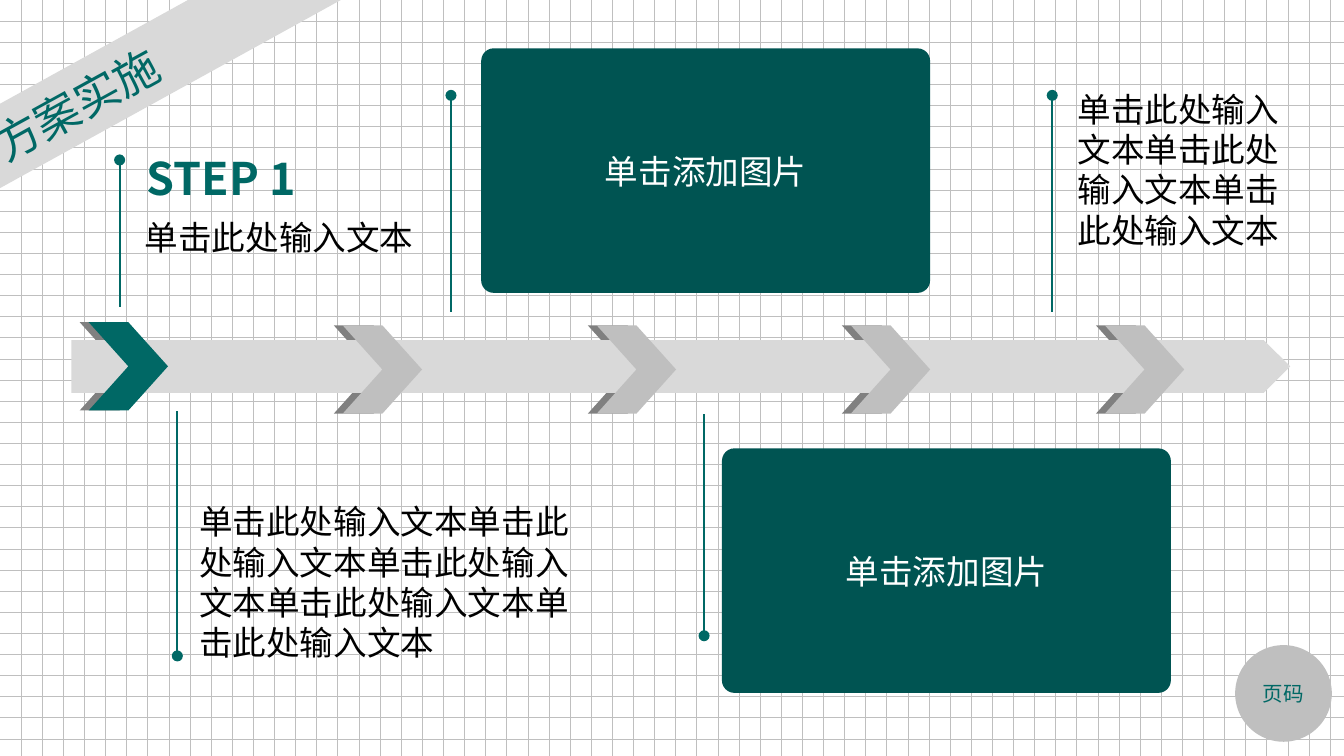
from lxml.etree import SubElement
from pptx import Presentation
from pptx.dml.color import RGBColor
from pptx.enum.dml import MSO_PATTERN
from pptx.enum.shapes import MSO_CONNECTOR, MSO_SHAPE
from pptx.enum.text import MSO_ANCHOR, MSO_AUTO_SIZE, PP_ALIGN
from pptx.oxml.ns import qn
from pptx.util import Pt

TEAL = RGBColor(0x00, 0x68, 0x65)
DEEP = RGBColor(0x00, 0x54, 0x52)
PALE = RGBColor(0xD9, 0xD9, 0xD9)
GRAY = RGBColor(0xBF, 0xBF, 0xBF)
DARK = RGBColor(0x80, 0x80, 0x80)
WHITE = RGBColor(0xFF, 0xFF, 0xFF)
BLACK = RGBColor(0x00, 0x00, 0x00)
FONT = "Noto Sans CJK SC"
PROMPT = "单击此处输入文本"


def add_shape(slide, kind, box, color):
    shape = slide.shapes.add_shape(kind, *map(Pt, box))
    shape.shadow.inherit = False
    shape.fill.solid()
    shape.fill.fore_color.rgb = color
    shape.line.fill.background()
    return shape


def set_text(shape, text, size, color, align=PP_ALIGN.LEFT, bold=False):
    frame = shape.text_frame
    frame.word_wrap = True
    para = frame.paragraphs[0]
    para.text = text
    para.alignment = align
    font = para.font
    font.name, font.size, font.bold = FONT, Pt(size), bold
    font.color.rgb = color
    props = para._p.pPr.find(qn("a:defRPr"))
    SubElement(props, qn("a:ea"), typeface=FONT)
    return frame


def add_label(slide, box, text, size=18, color=BLACK, bold=False):
    label = slide.shapes.add_textbox(*map(Pt, box))
    frame = set_text(label, text, size, color, bold=bold)
    frame.auto_size = MSO_AUTO_SIZE.SHAPE_TO_FIT_TEXT
    return frame


def add_pin(slide, x, top, end):
    pin = slide.shapes.add_connector(
        MSO_CONNECTOR.STRAIGHT, Pt(x), Pt(top), Pt(x), Pt(end))
    pin.line.color.rgb = TEAL
    pin.line.width = Pt(1)
    SubElement(pin.line._get_or_add_ln(), qn("a:headEnd"), type="oval")
    SubElement(pin._element.spPr, qn("a:effectLst"))


def add_card(slide, x, y):
    card = add_shape(slide, MSO_SHAPE.ROUNDED_RECTANGLE, (x, y, 240.5, 131), DEEP)
    card.adjustments[0] = 0.051
    frame = set_text(card, "单击添加图片", 18, WHITE, PP_ALIGN.CENTER)
    frame.vertical_anchor = MSO_ANCHOR.MIDDLE


def add_steps(slide, left, colors):
    for i, color in enumerate(colors):
        top = 174.3 if i else 172.6
        add_shape(slide, MSO_SHAPE.CHEVRON, (left + i * 136.1, top, 42.5, 47.3), color)


def add_ribbon(slide):
    ribbon = add_shape(slide, MSO_SHAPE.RECTANGLE, (-68.4, 13.7, 298.8, 39.6), PALE)
    ribbon.rotation = 331.1
    frame = set_text(ribbon, "方案实施", 24, TEAL)
    frame.margin_left = Pt(55.6)
    frame.vertical_anchor = MSO_ANCHOR.MIDDLE


def add_badge(slide):
    badge = add_shape(slide, MSO_SHAPE.OVAL, (661.7, 345.6, 51.8, 51.8), GRAY)
    frame = set_text(badge, "页码", 11, TEAL, PP_ALIGN.CENTER)
    frame.vertical_anchor = MSO_ANCHOR.MIDDLE


def main():
    """Build the timeline slide and save it."""
    deck = Presentation()
    deck.slide_width, deck.slide_height = Pt(720), Pt(405)
    slide = deck.slides.add_slide(deck.slide_layouts[6])
    back = slide.background.fill
    back.patterned()
    back.pattern = MSO_PATTERN.DOTTED_GRID
    back.fore_color.rgb, back.back_color.rgb = GRAY, WHITE

    add_steps(slide, 42.7, [DARK] * 5)
    add_shape(slide, MSO_SHAPE.PENTAGON, (38.2, 182.2, 653, 28.2), PALE)
    add_steps(slide, 47.5, [TEAL] + [GRAY] * 4)
    add_ribbon(slide)
    for x, top, end in [(64.1, 85.7, 164.5), (95, 351.4, 220), (241.6, 51.1, 167),
                        (377.2, 340.6, 221.6), (563.7, 51.1, 167)]:
        add_pin(slide, x, top, end)

    add_label(slide, (71.6, 77, 108.7, 36), "STEP 1", 24, TEAL, True)
    step = add_label(slide, (66.4, 112.6, 175, 29), PROMPT)
    step.margin_left = Pt(11.2)
    add_label(slide, (99.6, 265, 215.3, 94.5), PROMPT * 5)
    add_label(slide, (570.2, 44, 130.3, 94.5), PROMPT * 3)
    add_card(slide, 257.8, 25.9)
    add_card(slide, 386.8, 240.2)
    add_badge(slide)
    deck.save("out.pptx")


if __name__ == "__main__":
    main()
